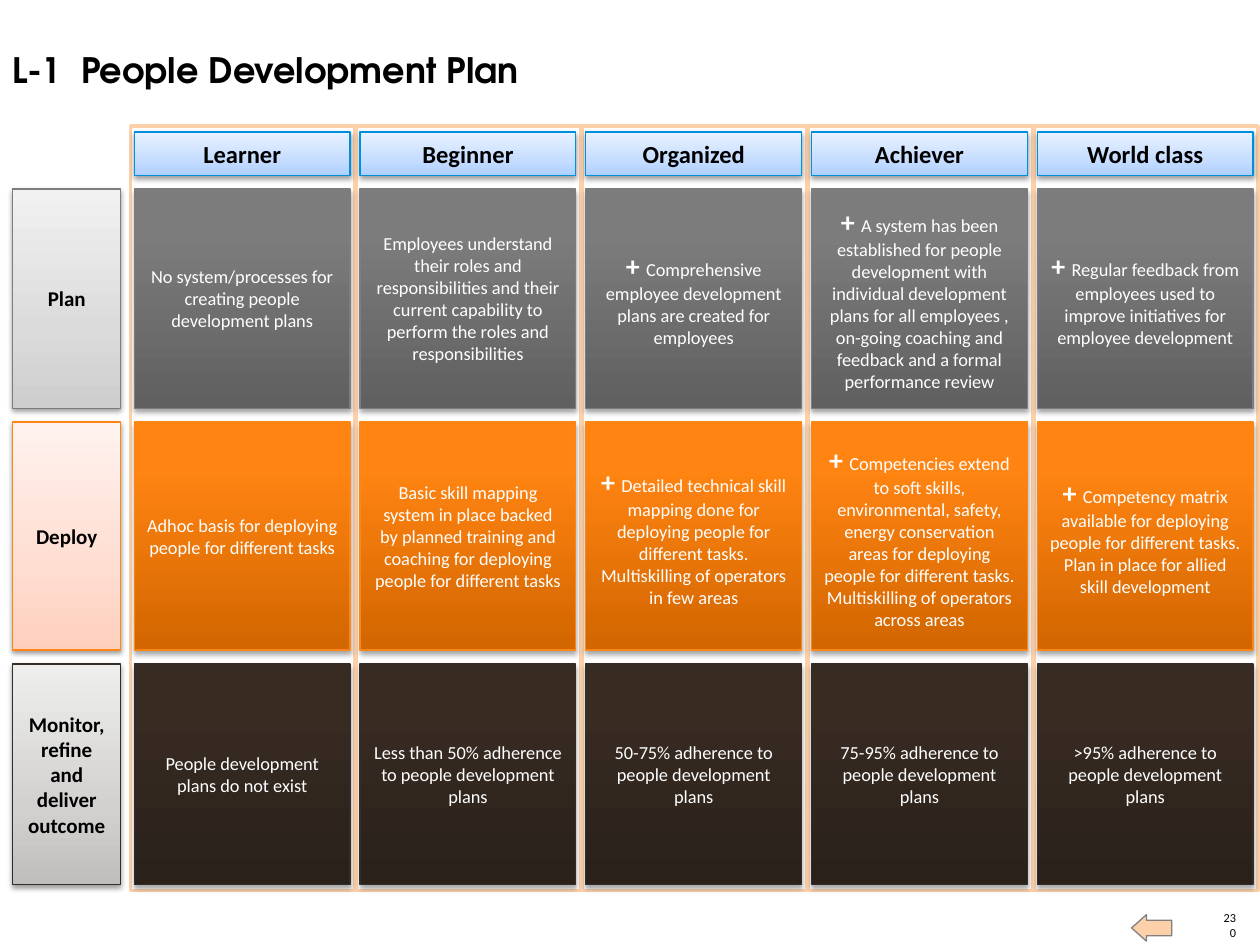
from lxml import etree
from pptx import Presentation
from pptx.dml.color import RGBColor
from pptx.enum.shapes import MSO_SHAPE
from pptx.enum.text import MSO_ANCHOR, PP_ALIGN
from pptx.oxml.ns import qn
from pptx.util import Pt

RECT, ARROW = MSO_SHAPE.RECTANGLE, MSO_SHAPE.RIGHT_ARROW
MIDDLE, BOTTOM = MSO_ANCHOR.MIDDLE, MSO_ANCHOR.BOTTOM
LEFT, CENTER, RIGHT = PP_ALIGN.LEFT, PP_ALIGN.CENTER, PP_ALIGN.RIGHT

COLORS = {
    "black": "000000", "white": "FFFFFF", "peach": "FCD1AA", "gray": "808080",
    "plan": "7D7D7D", "deploy": "FF8615", "monitor": "352C25", "head": "008FDC",
}
# Gradient colours run from the bottom edge to the top edge
LIGHT_STOPS, DARK_STOPS = (0, 35, 100), (0, 80, 100)
LIGHT = {
    "plan": ("CDCDCD", "DBDBDB", "F1F1F1"),
    "deploy": ("FFCFBD", "FFDDD1", "FFF2EE"),
    "monitor": ("C0BEBC", "D3D1D0", "EEEEED"),
    "head": ("AECFFF", "C6DDFF", "E9F2FF"),
}
DARK = {
    "plan": ("606060", "7C7C7C", "7D7D7D"),
    "deploy": ("D26600", "FF8412", "FF8514"),
    "monitor": ("2A211B", "372B22", "372B22"),
}

LEVELS = ["Learner", "Beginner", "Organized", "Achiever", "World class"]
# Stage: colour key, label, top, height, one text per level
STAGES = [
    ("plan", "Plan", 108, 125.3, [
        "No system/processes for creating people development plans",
        "Employees understand their roles and responsibilities and their current "
        "capability to perform the roles and responsibilities",
        "+ Comprehensive employee development plans are created for employees",
        "+ A system has been established for people development with individual "
        "development plans for all employees , on-going coaching and feedback "
        "and a formal performance review",
        "+ Regular feedback from employees used to improve initiatives for "
        "employee development"]),
    ("deploy", "Deploy", 241.2, 130.3, [
        "Adhoc basis for deploying people for different tasks",
        "Basic skill mapping system in place backed by planned training and "
        "coaching for deploying people for different tasks",
        "+ Detailed technical skill mapping done for deploying people for "
        "different tasks. Multiskilling of operators in few areas",
        "+ Competencies extend to soft skills, environmental, safety, energy "
        "conservation areas for deploying people for different tasks. "
        "Multiskilling of operators across areas",
        "+ Competency matrix available for deploying people for different "
        "tasks. Plan in place for allied skill development"]),
    ("monitor", "Monitor, refine and deliver outcome", 379.5, 126, [
        "People development plans do not exist",
        "Less than 50% adherence to people development plans",
        "50-75% adherence to people development plans",
        "75-95% adherence to people development plans",
        ">95% adherence to people development plans"]),
]
COLUMN_LEFT, COLUMN_PITCH, COLUMN_WIDTH = 76.8, 129, 123.3


def rgb(name):
    return RGBColor.from_string(COLORS[name])


class Deck:
    body_font, title_font = "Calibri", "TeX Gyre Adventor"

    def __init__(self, width, height):
        self.prs = Presentation()
        self.prs.slide_width, self.prs.slide_height = Pt(width), Pt(height)
        self.s = self.prs.slides.add_slide(self.prs.slide_layouts[5])

    def style(self, p, size, color, bold=False, align=CENTER, font=body_font):
        p.alignment = align
        p.font.name, p.font.size, p.font.bold = font, Pt(size), bold
        p.font.color.rgb = rgb(color)

    def title(self, text, *box):
        sp = self.s.shapes.title
        sp.left, sp.top, sp.width, sp.height = map(Pt, box)
        tf = sp.text_frame
        tf.text, tf.vertical_anchor = text, MIDDLE
        self.style(tf.paragraphs[0], 20, "black", True, LEFT, self.title_font)

    def number(self, text, *box):
        tf = self.s.shapes.add_textbox(*map(Pt, box)).text_frame
        tf.margin_left = tf.margin_right = tf.margin_top = tf.margin_bottom = 0
        tf.text, tf.word_wrap, tf.vertical_anchor = text, True, BOTTOM
        self.style(tf.paragraphs[0], 7, "black", align=RIGHT)

    def shape(self, kind, box, fill, line, weight):
        sp = self.s.shapes.add_shape(kind, *map(Pt, box))
        sp.shadow.inherit = False
        sp.fill.solid()
        sp.fill.fore_color.rgb = rgb(fill)
        sp.line.color.rgb, sp.line.width = rgb(line), Pt(weight)
        return sp

    def card(self, box, line, stops, colors, alpha, distance):
        """Add a rectangle with a vertical gradient and a soft shadow below."""
        sp = self.shape(RECT, box, "white", line, 0.75)
        sp.fill.gradient()
        sp.fill.gradient_angle = 90
        stop_list = sp._element.spPr.find(".//" + qn("a:gsLst"))
        for old in list(stop_list):
            stop_list.remove(old)
        for stop, color in zip(stops, colors):
            gs = etree.SubElement(stop_list, qn("a:gs"), pos=str(stop * 1000))
            etree.SubElement(gs, qn("a:srgbClr"), val=color)
        shadow = etree.SubElement(
            sp._element.spPr.find(qn("a:effectLst")), qn("a:outerShdw"),
            blurRad=str(Pt(3.1)), dist=str(Pt(distance)), dir="5400000",
            rotWithShape="0")
        clr = etree.SubElement(shadow, qn("a:srgbClr"), val=COLORS["black"])
        etree.SubElement(clr, qn("a:alpha"), val=str(alpha * 1000))
        tf = sp.text_frame
        tf.word_wrap, tf.vertical_anchor = True, MIDDLE
        return tf.paragraphs[0]

    def label(self, text, box, key, size):
        p = self.card(box, key, LIGHT_STOPS, LIGHT[key], 38, 1.6)
        p.text = text
        self.style(p, size, "black", True)

    def cell(self, text, box, key):
        p = self.card(box, key, DARK_STOPS, DARK[key], 35, 1.8)
        self.style(p, 10.5, "white")
        if text.startswith("+ "):
            r = p.add_run()
            r.text, r.font.size, r.font.bold = "+ ", Pt(16), True
            text = text[2:]
        p.add_run().text = text


def main():
    deck = Deck(720, 540)
    columns = [COLUMN_LEFT + i * COLUMN_PITCH for i in range(len(LEVELS))]

    # Page number and back arrow
    deck.number("230", 697.7, 528.5, 8.6, 8.6)
    arrow = deck.shape(ARROW, (646.6, 522.7, 23, 15.1), "peach", "gray", 0.75)
    arrow.rotation = 180
    arrow.adjustments[0], arrow.adjustments[1] = 0.59, 0.56

    deck.title("L-1  People Development Plan", 0, 23.8, 619.2, 31.7)

    # Stage labels
    for key, name, top, height, _ in STAGES:
        deck.label(name, (7.2, top, 61.9, height), key, 12)

    # Column frames
    for x in columns:
        deck.shape(RECT, (x - 2.1, 72, 128.2, 437), "white", "peach", 2)

    # Maturity grid
    for key, _, top, height, texts in STAGES:
        for x, text in zip(columns, texts):
            deck.cell(text, (x, top, COLUMN_WIDTH, height), key)

    # Level headings
    for x, level in zip(columns, LEVELS):
        deck.label(level, (x, 75.4, COLUMN_WIDTH, 24.8), "head", 14)

    deck.prs.save("out.pptx")


if __name__ == "__main__":
    main()
